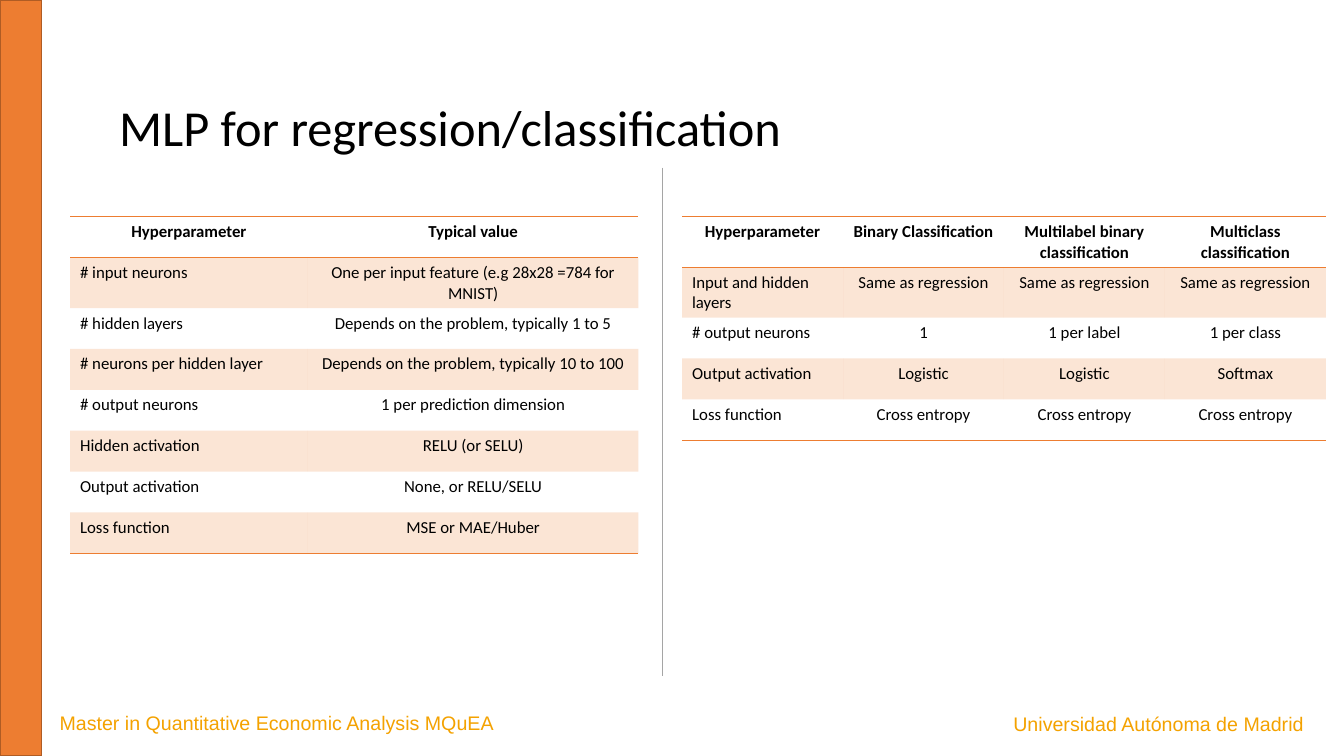
from lxml import etree
from pptx import Presentation
from pptx.dml.color import RGBColor
from pptx.enum import shapes, text
from pptx.oxml import ns
from pptx.util import Pt

ORANGE = RGBColor(0xED, 0x7D, 0x31)
BROWN = RGBColor(0xAF, 0x5C, 0x24)
GOLD = RGBColor(0xF4, 0xA2, 0x00)
GREY = RGBColor(0xA5, 0xA5, 0xA5)
BLACK = RGBColor(0, 0, 0)

WIDTH, HEIGHT = 960, 540
NO_STYLE = "{2D5ABB26-0587-4C30-8999-92F81FD0307C}"
ROW_HEIGHT = 29.2
TABLE_TOP = 154.8

REGRESSION = [
    ("Hyperparameter", "Typical value"),
    ("# input neurons", "One per input feature (e.g 28x28 =784 for MNIST)"),
    ("# hidden layers", "Depends on the problem, typically 1 to 5"),
    ("# neurons per hidden layer", "Depends on the problem, typically 10 to 100"),
    ("# output neurons", "1 per prediction dimension"),
    ("Hidden activation", "RELU (or SELU)"),
    ("Output activation", "None, or RELU/SELU"),
    ("Loss function", "MSE or MAE/Huber"),
]
CLASSIFICATION = [
    ("Hyperparameter", "Binary Classification", "Multilabel binary classification",
     "Multiclass classification"),
    ("Input and hidden layers",) + ("Same as regression",) * 3,
    ("# output neurons", "1", "1 per label", "1 per class"),
    ("Output activation", "Logistic", "Logistic", "Softmax"),
    ("Loss function",) + ("Cross entropy",) * 3,
]


def add_child(parent, tag, **attrs):
    return etree.SubElement(parent, ns.qn(tag), **attrs)


def style_paragraph(p, font, size, color, align, bold=False):
    p.alignment = align
    p.font.name, p.font.size, p.font.bold = font, Pt(size), bold
    p.font.color.rgb = color


def add_text(slide, box, words, font, size, color, align=text.PP_ALIGN.LEFT):
    tf = slide.shapes.add_textbox(*map(Pt, box)).text_frame
    tf.word_wrap = True
    tf.vertical_anchor = text.MSO_ANCHOR.MIDDLE
    p = tf.paragraphs[0]
    p.text = words
    style_paragraph(p, font, size, color, align)
    return p


def add_rule(cell, tag):
    """Draw one orange edge of a cell: a:lnT for the top, a:lnB for the bottom."""
    ln = add_child(cell._tc.get_or_add_tcPr(), tag, w=str(Pt(1)))
    add_child(add_child(ln, "a:solidFill"), "a:srgbClr", val=str(ORANGE))


def fill_band(cell):
    cell.fill.solid()
    cell.fill.fore_color.rgb = ORANGE
    color = cell._tc.tcPr.find(".//" + ns.qn("a:solidFill") + "[last()]")
    color = cell._tc.tcPr.find(ns.qn("a:solidFill")).find(ns.qn("a:srgbClr"))
    add_child(color, "a:alpha", val="20000")


def add_parameter_table(slide, left, top, widths, rows):
    """Table with a ruled bold header, tinted odd rows and a closing rule."""
    frame = slide.shapes.add_table(len(rows), len(widths), Pt(left), Pt(top),
                                   Pt(sum(widths)), Pt(ROW_HEIGHT * len(rows)))
    table = frame.table
    table._tbl.tblPr.find(ns.qn("a:tableStyleId")).text = NO_STYLE
    for column, width in zip(table.columns, widths):
        column.width = Pt(width)
    for i, row in enumerate(rows):
        table.rows[i].height = Pt(ROW_HEIGHT)
        for j, words in enumerate(row):
            cell = table.cell(i, j)
            cell.text = words
            centred = i == 0 or j > 0
            align = text.PP_ALIGN.CENTER if centred else text.PP_ALIGN.LEFT
            style_paragraph(cell.text_frame.paragraphs[0], "Calibri", 12, BLACK,
                            align, bold=i == 0)
            if i == 0:
                add_rule(cell, "a:lnT")
            if i in (0, len(rows) - 1):
                add_rule(cell, "a:lnB")
            if i % 2:
                fill_band(cell)
            else:
                cell.fill.background()


def add_side_bar(slide, left, top, width, height):
    sp = slide.shapes.add_shape(shapes.MSO_SHAPE.RECTANGLE,
                                *map(Pt, (left, top, width, height)))
    sp.shadow.inherit = False
    sp.fill.solid()
    sp.fill.fore_color.rgb = ORANGE
    sp.line.color.rgb = BROWN
    sp.line.width = Pt(1)


def add_footer(slide, left, top, width, height):
    half = width / 2
    add_text(slide, (left, top, half, height),
             "Master in Quantitative Economic Analysis MQuEA", "Arial", 14, GOLD)
    add_text(slide, (left + half, top + 0.5, half, height),
             "Universidad Autónoma de Madrid", "Arial", 14, GOLD, text.PP_ALIGN.RIGHT)


def add_divider(slide, x, top, bottom):
    line = slide.shapes.add_connector(shapes.MSO_CONNECTOR.STRAIGHT,
                                      *map(Pt, (x, top, x, bottom)))
    line.line.color.rgb = GREY
    line.line.width = Pt(0.5)
    add_child(line._element.spPr, "a:effectLst")


def main():
    prs = Presentation()
    prs.slide_width, prs.slide_height = Pt(WIDTH), Pt(HEIGHT)
    slide = prs.slides.add_slide(prs.slide_layouts[6])
    add_side_bar(slide, 0, 0, 29.5, HEIGHT)
    add_footer(slide, 35.5, 504, 903, 24.2)
    title = add_text(slide, (78, 41, 828, 104.4), "MLP for regression/classification",
                     "Calibri", 36, BLACK)
    title.line_spacing = 0.9
    add_parameter_table(slide, 50, TABLE_TOP, (170, 236), REGRESSION)
    add_parameter_table(slide, 487.2, TABLE_TOP, (115,) * 4, CLASSIFICATION)
    add_divider(slide, 473, 119.8, 483)
    prs.save("out.pptx")


if __name__ == "__main__":
    main()
